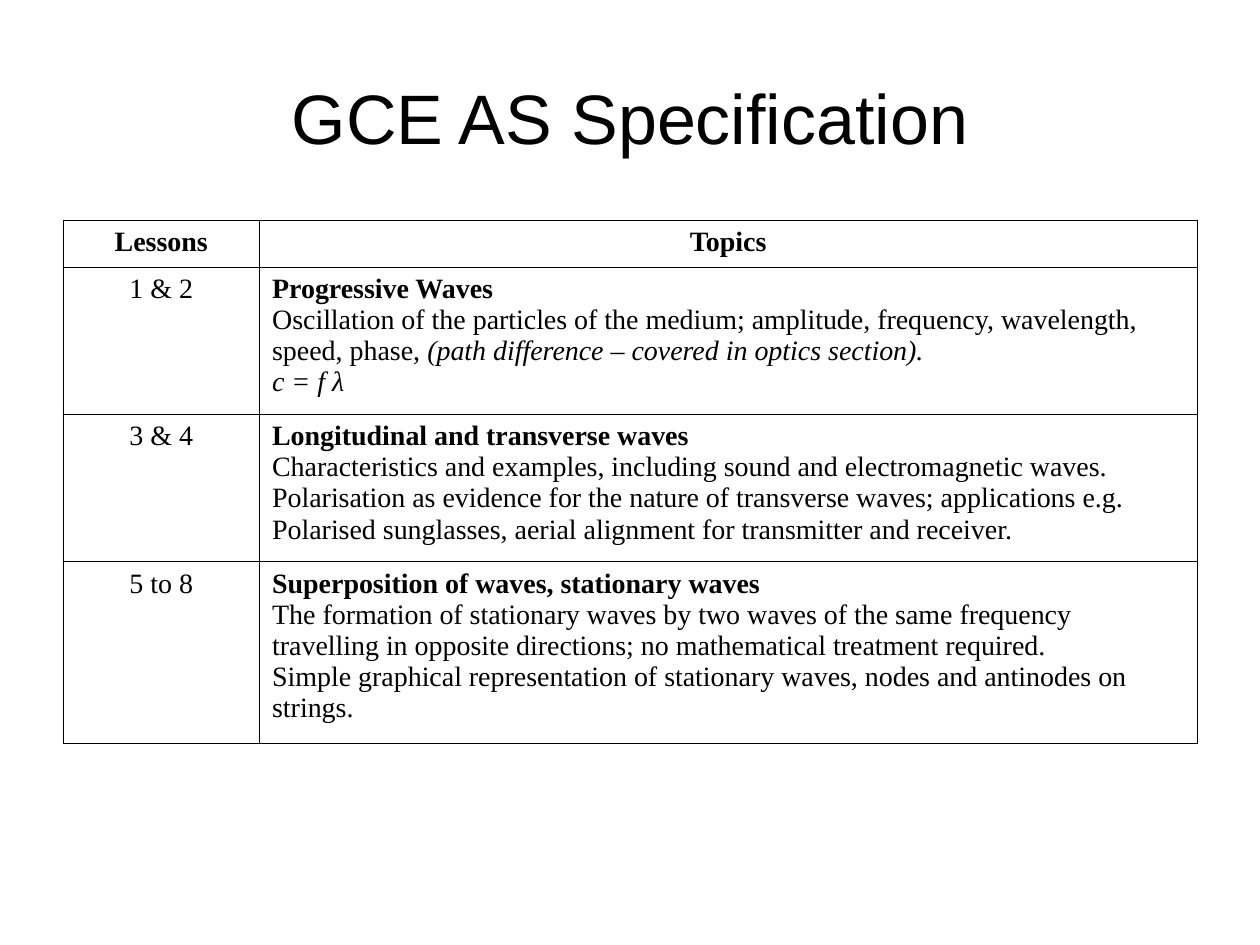
"""Build a slide with a table of lessons and topics for the AS specification."""
from lxml.etree import SubElement
from pptx import Presentation
from pptx.dml.color import RGBColor
from pptx.enum.text import MSO_ANCHOR as Anchor, PP_ALIGN as Align
from pptx.oxml.ns import qn
from pptx.util import Inches, Pt

BLACK = RGBColor(0x00, 0x00, 0x00)

COLUMN_WIDTHS = [1.56, 7.44]
ROW_HEIGHTS = [0.37, 1.17, 1.17, 1.44]
ROWS = [
    ("Lessons", [[("Topics", "bold")]]),
    ("1 & 2", [
        [("Progressive Waves", "bold")],
        [("Oscillation of the particles of the medium; amplitude, frequency, "
          "wavelength, speed, phase, ", "plain"),
         ("(path difference – covered in optics section).", "italic")],
        [("c = f λ", "italic")],
    ]),
    ("3 & 4", [
        [("Longitudinal and transverse waves", "bold")],
        [("Characteristics and examples, including sound and "
          "electromagnetic waves.", "plain")],
        [("Polarisation as evidence for the nature of transverse waves; "
          "applications e.g. Polarised sunglasses, aerial alignment for "
          "transmitter and receiver.", "plain")],
    ]),
    ("5 to 8", [
        [("Superposition of waves, stationary waves", "bold")],
        [("The formation of stationary waves by two waves of the same "
          "frequency travelling in opposite directions; no mathematical "
          "treatment required.", "plain")],
        [("Simple graphical representation of stationary waves, nodes and "
          "antinodes on strings.", "plain")],
    ]),
]


def add_span(para, text, size, name, style="plain"):
    span = para.add_run()
    span.text = text
    span.font.size = Pt(size)
    span.font.name = name
    span.font.color.rgb = BLACK
    span.font.bold = style == "bold"
    span.font.italic = style == "italic"


def fill_cell(cell, paragraphs, align):
    properties = cell._tc.get_or_add_tcPr()
    for side in ("a:lnL", "a:lnR", "a:lnT", "a:lnB"):
        line = SubElement(properties, qn(side), w=str(Pt(0.45)))
        fill = SubElement(line, qn("a:solidFill"))
        SubElement(fill, qn("a:srgbClr"), val=str(BLACK))
    cell.fill.background()
    frame = cell.text_frame
    for number, spans in enumerate(paragraphs):
        para = frame.add_paragraph() if number else frame.paragraphs[0]
        para.alignment = align
        for text, style in spans:
            add_span(para, text, 16, "Times New Roman", style)


deck = Presentation()
deck.slide_width, deck.slide_height = Inches(10), Inches(7.5)
page = deck.slides.add_slide(deck.slide_layouts[5])

title = page.shapes.title
title.left, title.top = Inches(0.5), Inches(0.3)
title.width, title.height = Inches(9), Inches(1.25)
title.text_frame.vertical_anchor = Anchor.MIDDLE
title_para = title.text_frame.paragraphs[0]
title_para.alignment = Align.CENTER
add_span(title_para, "GCE AS Specification", 40, "Arial")

table = page.shapes.add_table(
    len(ROWS), len(COLUMN_WIDTHS), Inches(0.5), Inches(1.75),
    Inches(sum(COLUMN_WIDTHS)), Inches(sum(ROW_HEIGHTS))).table
table.horz_banding = False
for column, width in zip(table.columns, COLUMN_WIDTHS):
    column.width = Inches(width)
for row, height in zip(table.rows, ROW_HEIGHTS):
    row.height = Inches(height)

for index, (lessons, topics) in enumerate(ROWS):
    is_header = index == 0
    lesson_style = "bold" if is_header else "plain"
    topic_align = Align.CENTER if is_header else Align.LEFT
    fill_cell(table.cell(index, 0), [[(lessons, lesson_style)]], Align.CENTER)
    fill_cell(table.cell(index, 1), topics, topic_align)

deck.save("out.pptx")
